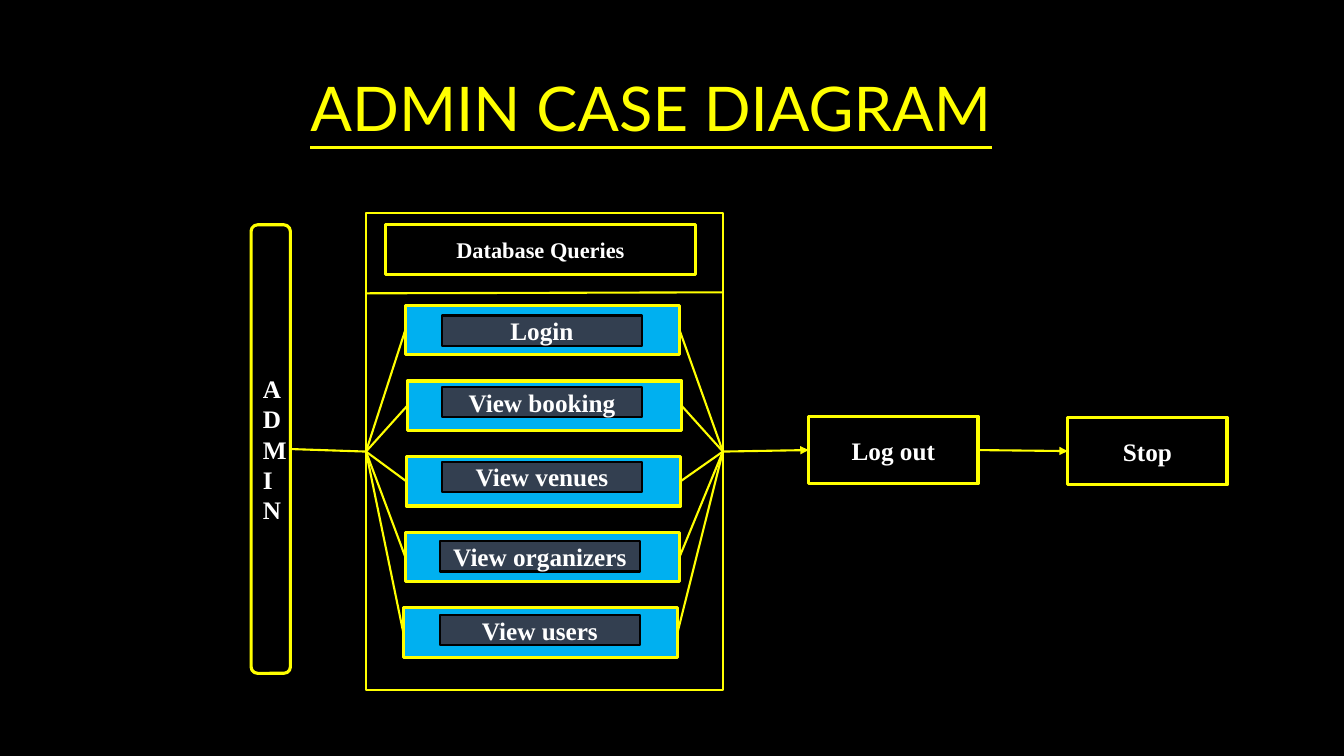
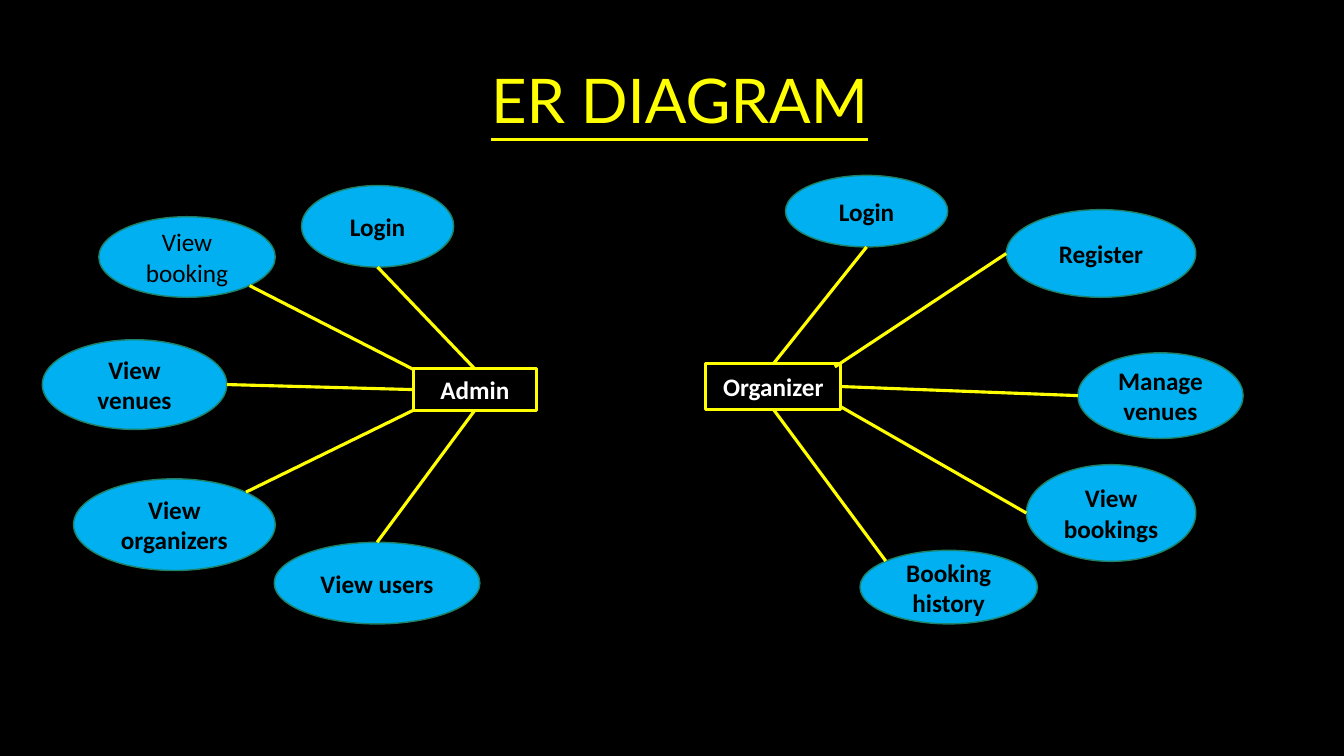
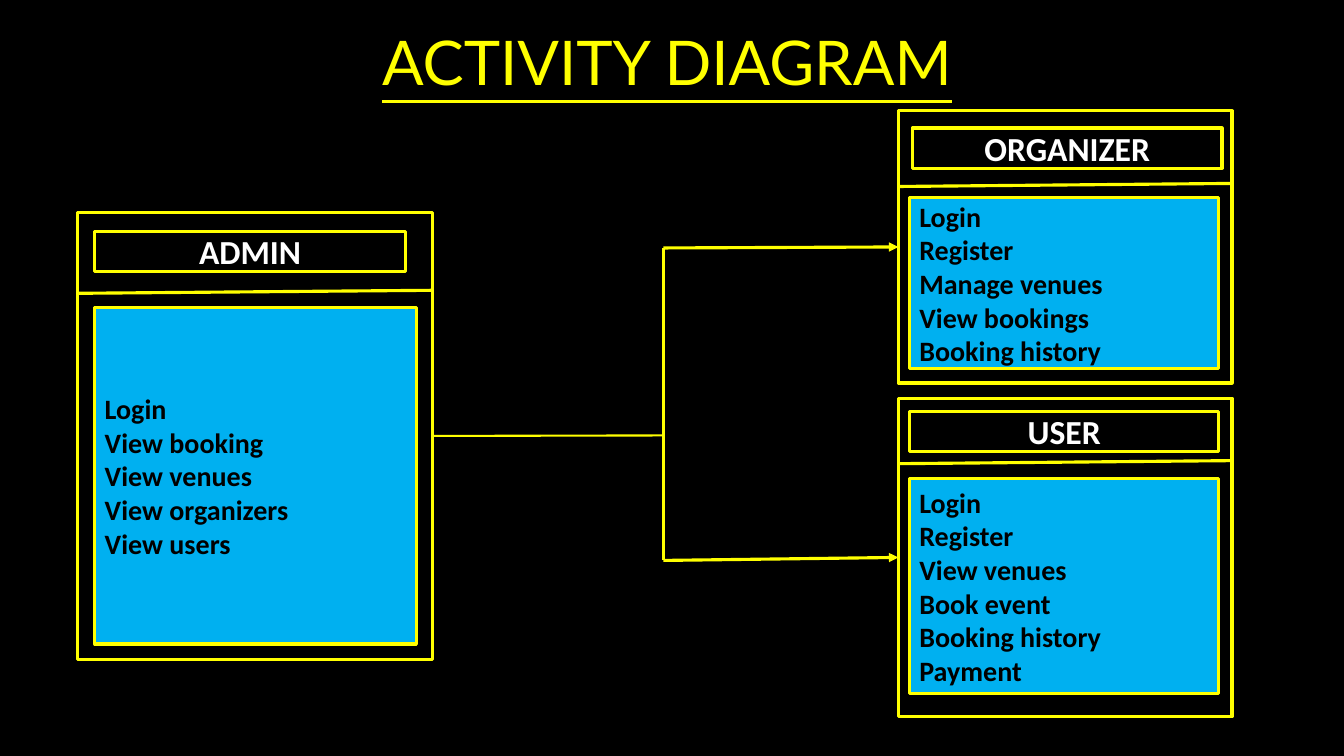
from lxml import etree
from pptx import Presentation
from pptx.dml.color import RGBColor
from pptx.enum import shapes, text
from pptx.oxml import ns
from pptx.util import Inches, Pt


class Theme:
    black = RGBColor.from_string("000000")
    white = RGBColor.from_string("FFFFFF")
    yellow = RGBColor.from_string("FFFF00")
    blue = RGBColor.from_string("00B0F0")
    slate = RGBColor.from_string("333F50")
    green = RGBColor.from_string("1E8168")
    thin, mid, thick = Pt(1), Pt(1.5), Pt(2.25)
    title = dict(name="Lato", size=Pt(44), underline=True, color=yellow)
    query = dict(name="Times New Roman", size=Pt(16), bold=True, color=white)
    step = dict(query, size=Pt(18))
    entity = dict(name="Calibri", size=Pt(18), bold=True, color=white)
    field = dict(entity, color=black)
    head = dict(entity, size=Pt(24))
    entry = dict(entity, size=Pt(20), color=black)


RECT = shapes.MSO_SHAPE.RECTANGLE
ROUND = shapes.MSO_SHAPE.ROUNDED_RECTANGLE
OVAL = shapes.MSO_SHAPE.OVAL
LEFT, CENTER = text.PP_ALIGN.LEFT, text.PP_ALIGN.CENTER
TOP_SIDE, LEFT_SIDE, BOTTOM_SIDE, RIGHT_SIDE = range(4)


def box(slide, at, label="", style=None, fill=Theme.black, line=Theme.yellow,
        weight=Theme.thick, kind=RECT, align=CENTER, inset=0.1, right=0.1):
    """Draw a filled shape; each line of the label is a paragraph."""
    shape = slide.shapes.add_shape(kind, *map(Inches, at))
    shape.shadow.inherit = False
    shape.fill.solid()
    shape.fill.fore_color.rgb = fill
    if line is None:
        shape.line.fill.background()
    else:
        shape.line.color.rgb = line
        shape.line.width = weight
    if label:
        frame = shape.text_frame
        frame.text = label
        frame.word_wrap = True
        frame.vertical_anchor = text.MSO_ANCHOR.MIDDLE
        frame.margin_left, frame.margin_right = Inches(inset), Inches(right)
        for para in frame.paragraphs:
            para.alignment = align
            for run in para.runs:
                for key, value in style.items():
                    if key == "color":
                        run.font.color.rgb = value
                    else:
                        setattr(run.font, key, value)
    return shape


def link(slide, start, end, weight=Theme.thick, arrow=False):
    """Draw a line; an end is a point (x, y) or a (shape, side) pair."""
    joined = [hasattr(spot[0], "shape_id") for spot in (start, end)]
    points = [Inches(n) for spot, fixed in zip((start, end), joined)
              for n in ((0, 0) if fixed else spot)]
    wire = slide.shapes.add_connector(shapes.MSO_CONNECTOR.STRAIGHT, *points)
    if joined[0]:
        wire.begin_connect(*start)
    if joined[1]:
        wire.end_connect(*end)
    wire.line.color.rgb = Theme.yellow
    wire.line.width = weight
    props = wire._element.spPr
    if arrow:
        etree.SubElement(props.find(ns.qn("a:ln")), ns.qn("a:tailEnd"), type="triangle")
    etree.SubElement(props, ns.qn("a:effectLst"))


# Deck: black background on the master, one title style
deck = Presentation()
deck.slide_width, deck.slide_height = Inches(13.33), Inches(7.5)
back = deck.slide_master.background.fill
back.solid()
back.fore_color.rgb = Theme.black

pages = []
for label, at, inset in (
    ("ADMIN CASE DIAGRAM", (0.51, 0.57, 10.63, 1.08), 2.57),
    ("ER DIAGRAM", (1.8, 0.48, 10.62, 1.09), 3.07),
    ("ACTIVITY DIAGRAM", (1.66, 0.09, 10.56, 1.12), 2.13),
):
    page = deck.slides.add_slide(deck.slide_layouts[6])
    name = box(page, at, label, Theme.title, line=None, align=LEFT, inset=inset)
    name.text_frame.paragraphs[0].line_spacing = 0.9
    pages.append(page)
case, er, flow = pages

# Admin case: actor, query panel and exits
admin = box(case, (2.49, 2.23, 0.39, 4.45), "ADMIN", Theme.step, kind=ROUND,
            align=LEFT, right=0.01)
panel = box(case, (3.63, 2.11, 3.54, 4.74), weight=Theme.mid)
box(case, (3.82, 2.23, 3.08, 0.49), "Database Queries", Theme.query)
link(case, (3.63, 2.91), (7.17, 2.9), Theme.mid)
logout = box(case, (8.02, 4.13, 1.68, 0.67), "Log out", Theme.step)
stop = box(case, (10.59, 4.14, 1.58, 0.67), "Stop", Theme.step)

# Admin case: queries at an equal pitch, fanned to both panel sides
for row, (label, left, tag, top) in enumerate((
    ("Login", 4.02, 4.38, 3.13),
    ("View booking", 4.04, 4.38, 3.84),
    ("View venues", 4.03, 4.38, 4.58),
    ("View organizers", 4.02, 4.36, 5.37),
    ("View users", 4, 4.36, 6.1),
)):
    bar = box(case, (left, 3.03 + 0.75 * row, 2.72, 0.49), fill=Theme.blue)
    box(case, (tag, top, 1.99, 0.3), label, Theme.step, fill=Theme.slate,
        line=Theme.black, weight=Theme.mid)
    for side in (LEFT_SIDE, RIGHT_SIDE):
        link(case, (panel, side), (bar, side), Theme.mid)

for start, end, arrow in ((admin, panel, False), (panel, logout, True), (logout, stop, True)):
    link(case, (start, RIGHT_SIDE), (end, LEFT_SIDE), Theme.mid, arrow)

# ER: each field has a rim direction and a side or corner of its entity
for label, at, fields in (
    ("Admin", (4.1, 3.66, 1.22, 0.41), (
        ("Login", (2.99, 1.84, 1.51, 0.81), (0, 1), TOP_SIDE),
        ("View booking", (0.98, 2.15, 1.75, 0.8), (1, 1), (4.11, 3.67)),
        ("View venues", (0.42, 3.37, 1.83, 0.89), (1, 0), LEFT_SIDE),
        ("View organizers", (0.73, 4.75, 2, 0.91), (1, -1), (4.1, 4.07)),
        ("View users", (2.72, 5.38, 2.04, 0.81), (0, -1), BOTTOM_SIDE),
    )),
    ("Organizer", (7, 3.61, 1.34, 0.45), (
        ("Login", (7.79, 1.74, 1.61, 0.71), (0, 1), TOP_SIDE),
        ("Register", (9.98, 2.08, 1.88, 0.87), (-1, 0), (8.28, 3.64)),
        ("Manage venues", (10.69, 3.5, 1.64, 0.85), (-1, 0), RIGHT_SIDE),
        ("View bookings", (10.18, 4.61, 1.68, 0.96), (-1, 0), (8.33, 4.03)),
        ("Booking history", (8.53, 5.46, 1.76, 0.73), (-1, -1), BOTTOM_SIDE),
    )),
):
    entity = box(er, at, label, Theme.entity)
    for field, (x, y, w, h), (dx, dy), goal in fields:
        style = dict(Theme.field, bold=field != "View booking")
        box(er, (x, y, w, h), field, style, fill=Theme.blue, line=Theme.green,
            weight=Theme.thin, kind=OVAL)
        reach = 0.71 if dx and dy else 1
        rim = (x + w / 2 * (1 + reach * dx), y + h / 2 * (1 + reach * dy))
        link(er, rim, goal if isinstance(goal, tuple) else (entity, goal))

# Activity: one card per role
cards = {}
for role, frame, head, body, rule, tasks in (
    ("ADMIN", (0.77, 2.11, 3.52, 4.43), (0.94, 2.3, 3.08, 0.39),
     (0.94, 3.05, 3.19, 3.34), 2.91,
     ("Login", "View booking", "View venues", "View organizers", "View users")),
    ("ORGANIZER", (8.91, 1.1, 3.31, 2.7), (9.05, 1.27, 3.07, 0.4),
     (9.02, 1.96, 3.07, 1.7), 1.85,
     ("Login", "Register", "Manage venues", "View bookings", "Booking history")),
    ("USER", (8.91, 3.95, 3.31, 3.16), (9.02, 4.08, 3.07, 0.4),
     (9.02, 4.75, 3.07, 2.13), 4.6,
     ("Login", "Register", "View venues", "Book event", "Booking history", "Payment")),
):
    cards[role] = box(flow, frame)
    box(flow, head, role, Theme.head)
    box(flow, body, "\n".join(tasks), Theme.entry, fill=Theme.blue, align=LEFT)
    link(flow, (frame[0], rule), (frame[0] + frame[2], rule - 0.03))

# Activity: trunk with a branch to each role
trunk, upper, lower = 6.58, 2.46, 5.56
link(flow, (cards["ADMIN"], RIGHT_SIDE), (trunk, 4.32), Theme.mid)
link(flow, (trunk, upper), (trunk, lower))
for y, role in ((upper, "ORGANIZER"), (lower, "USER")):
    link(flow, (trunk, y), (cards[role], LEFT_SIDE), arrow=True)

deck.save("out.pptx")
